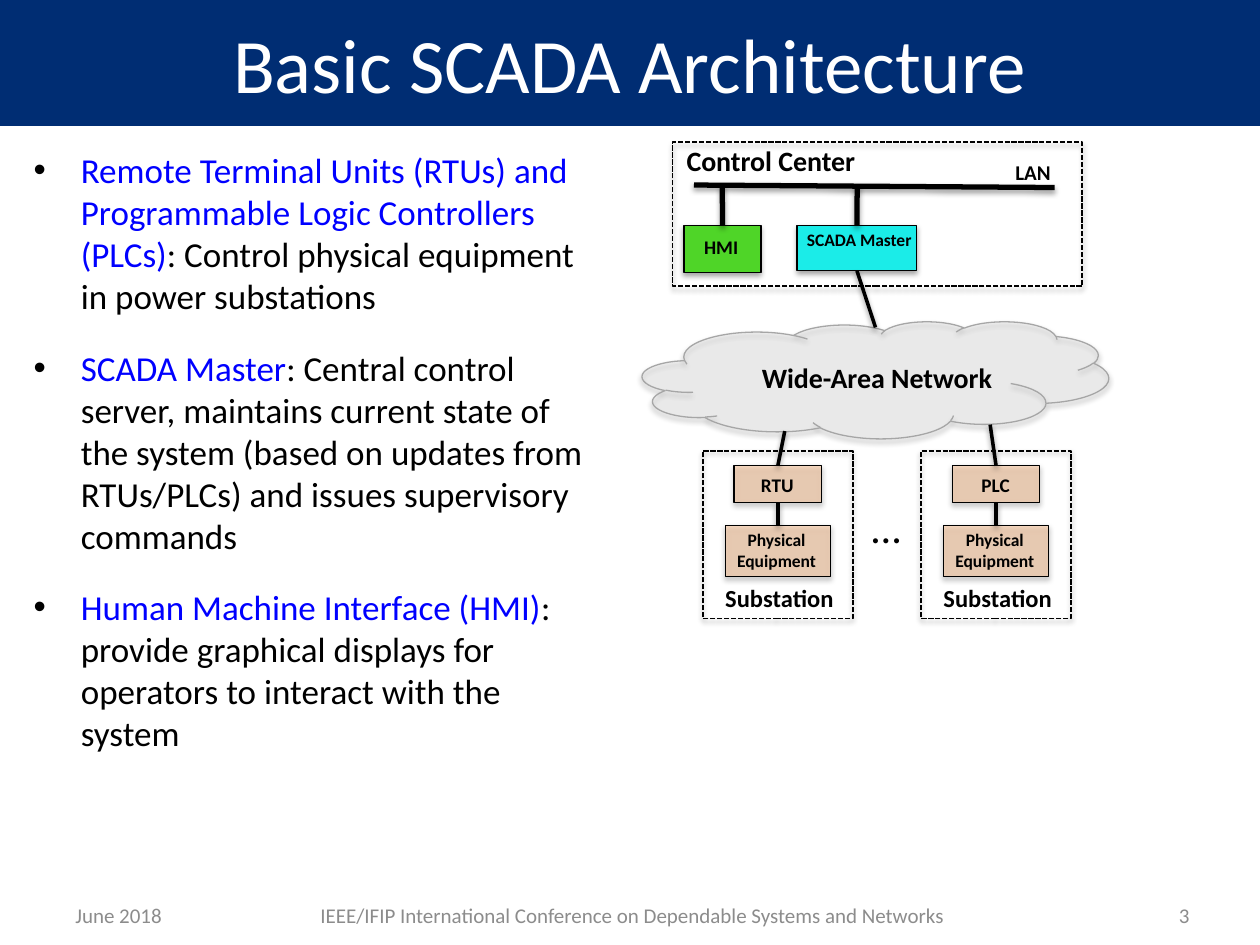
import pptx
import pptx.util
import pptx.dml.color
import pptx.enum.dml
import pptx.enum.shapes
import pptx.enum.text
import pptx.oxml.ns
from lxml import etree

Cm = pptx.util.Cm
Pt = pptx.util.Pt
qn = pptx.oxml.ns.qn
SHAPE = pptx.enum.shapes.MSO_SHAPE
ALIGN = pptx.enum.text.PP_ALIGN
ANCHOR = pptx.enum.text.MSO_ANCHOR

BULLETS = [
    ("Remote Terminal Units (RTUs) and Programmable Logic Controllers (PLCs)",
     ": Control physical equipment in power substations"),
    ("SCADA Master",
     ": Central control server, maintains current state of the system "
     "(based on updates from RTUs/PLCs) and issues supervisory commands"),
    ("Human Machine Interface (HMI)",
     ": provide graphical displays for operators to interact with the system"),
]


def color(hex_string):
    return pptx.dml.color.RGBColor.from_string(hex_string)


def add_run(p, text, size, hex_string="000000", bold=False):
    r = p.add_run()
    r.text = text
    r.font.name = "Calibri"
    r.font.size = Pt(size)
    r.font.bold = bold
    r.font.color.rgb = color(hex_string)


def add_shadow(sp, opacity, distance):
    effects = etree.SubElement(sp._element.spPr, qn("a:effectLst"))
    shadow = etree.SubElement(
        effects, qn("a:outerShdw"), blurRad=str(Pt(3.1)), dist=str(Pt(distance)),
        dir="5400000", rotWithShape="0")
    clr = etree.SubElement(shadow, qn("a:srgbClr"), val="000000")
    etree.SubElement(clr, qn("a:alpha"), val=str(opacity * 1000))


def add_block(s, kind, x, y, w, h, fill=None, opacity=100, line="000000", width=0.75):
    sp = s.shapes.add_shape(kind, Cm(x), Cm(y), Cm(w), Cm(h))
    if fill:
        sp.fill.solid()
        sp.fill.fore_color.rgb = color(fill)
        if opacity < 100:
            clr = sp._element.spPr.find(qn("a:solidFill"))[0]
            etree.SubElement(clr, qn("a:alpha"), val=str(opacity * 1000))
    else:
        sp.fill.background()
    sp.line.color.rgb = color(line)
    sp.line.width = Pt(width)
    add_shadow(sp, 35, 1.8)
    return sp


def add_frame(s, x, y, w, h):
    sp = add_block(s, SHAPE.RECTANGLE, x, y, w, h, width=1)
    sp.line.dash_style = pptx.enum.dml.MSO_LINE.SQUARE_DOT


def add_line(s, x1, y1, x2, y2, width=2, begin=None, end=None):
    line = s.shapes.add_connector(
        pptx.enum.shapes.MSO_CONNECTOR.STRAIGHT, Cm(x1), Cm(y1), Cm(x2), Cm(y2))
    if begin:
        line.begin_connect(*begin)
    if end:
        line.end_connect(*end)
    line.line.color.rgb = color("000000")
    line.line.width = Pt(width)
    add_shadow(line, 38, 1.6)


def add_label(s, x, y, w, h, text, size, align=ALIGN.CENTER, hex_string="000000",
              bold=True, anchor=ANCHOR.TOP, wrap=True):
    tf = s.shapes.add_textbox(Cm(x), Cm(y), Cm(w), Cm(h)).text_frame
    tf.word_wrap = wrap
    tf.vertical_anchor = anchor
    for i, part in enumerate(text.split("\n")):
        p = tf.add_paragraph() if i else tf.paragraphs[0]
        p.alignment = align
        add_run(p, part, size, hex_string, bold)


def add_title(s, x, y, w, h):
    sp = s.shapes.add_shape(SHAPE.RECTANGLE, Cm(x), Cm(y), Cm(w), Cm(h))
    sp.shadow.inherit = False
    sp.fill.solid()
    sp.fill.fore_color.rgb = color("002D73")
    sp.line.fill.background()
    tf = sp.text_frame
    tf.vertical_anchor = ANCHOR.MIDDLE
    p = tf.paragraphs[0]
    p.alignment = ALIGN.CENTER
    add_run(p, "Basic SCADA Architecture", 44, "FFFFFF")


def add_body(s, x, y, w, h):
    tf = s.shapes.add_textbox(Cm(x), Cm(y), Cm(w), Cm(h)).text_frame
    tf.word_wrap = True
    for i, (term, meaning) in enumerate(BULLETS):
        p = tf.add_paragraph() if i else tf.paragraphs[0]
        pPr = p._p.get_or_add_pPr()
        pPr.set("marL", str(Cm(0.95)))
        pPr.set("indent", str(Cm(-0.95)))
        clr = etree.SubElement(pPr, qn("a:buClr"))
        etree.SubElement(clr, qn("a:srgbClr"), val="000000")
        etree.SubElement(pPr, qn("a:buFont"), typeface="Arial")
        etree.SubElement(pPr, qn("a:buChar"), char="•")
        if i:
            p.space_before = Pt(16.8)
        add_run(p, term, 20, "0000FF")
        add_run(p, meaning, 20)


def add_footer(s, x, y, w, h):
    side = 3
    parts = [
        (0, side, "June 2018", ALIGN.LEFT),
        (side, w - 2 * side,
         "IEEE/IFIP International Conference on Dependable Systems and Networks",
         ALIGN.CENTER),
        (w - side, side, "3", ALIGN.RIGHT),
    ]
    for dx, width, text, align in parts:
        add_label(s, x + dx, y, width, h, text, 12, align, "8C8C8C", False, ANCHOR.MIDDLE)


def add_network(s, x, y, w, h):
    add_block(s, SHAPE.CLOUD, x, y, w, h, "D9D9D9", 20, "A6A6A6")
    add_label(s, x + 1.91, y + 0.66, 5.64, 0.94, "Wide-Area Network", 16)


def add_control_center(s, x, y, w, h, uplink):
    hmi = add_block(s, SHAPE.RECTANGLE, x + 0.23, y + 1.68, 1.55, 0.94, "4FD528")
    master = add_block(s, SHAPE.RECTANGLE, x + 2.51, y + 1.68, 2.41, 0.91, "1BECE8")
    bus = y + 0.86
    add_line(s, x + 0.43, bus, x + 7.7, bus + 0.05, 3)
    for dx, node in ((1, hmi), (3.72, master)):
        add_line(s, x + dx, bus, x + dx, y + 1.68, 3, end=(node, 0))
    add_label(s, x + 2.39, y + 1.63, 2.74, 0.69, "SCADA Master", 10)
    add_label(s, x + 0.36, y + 1.75, 1.24, 0.74, "HMI", 11)
    add_label(s, x + 0.03, y - 0.1, 6.35, 0.94, "Control Center", 16, ALIGN.LEFT)
    add_frame(s, x, y, w, h)
    add_line(s, *uplink, x + 3.72, y + 2.59, end=(master, 2))
    add_label(s, x + 6.53, y + 0.23, 1.47, 0.76, "LAN", 12)


def add_substation(s, x, y, w, h, name, uplink):
    mid = x + w / 2
    add_label(s, x + 0.2, y + 2.54, 3.05, 0.86, "Substation", 14, ALIGN.LEFT)
    add_frame(s, x, y, w, h)
    unit = add_block(s, SHAPE.RECTANGLE, mid - 0.88, y + 0.3, 1.76, 0.74, "FAC090", 50)
    add_label(s, mid - 0.95, y + 0.33, 1.88, 0.74, name, 11)
    gear = add_block(s, SHAPE.RECTANGLE, mid - 1.06, y + 1.5, 2.12, 1.04, "FAC090", 50)
    add_label(s, mid - 1.13, y + 1.45, 2.21, 1.12, "Physical\nEquipment", 10)
    add_line(s, mid, y + 1.5, mid, y + 1.04, begin=(gear, 0), end=(unit, 2))
    add_line(s, mid, y + 0.3, *uplink, begin=(unit, 0))


def main():
    prs = pptx.Presentation()
    prs.slide_width = Cm(25.4)
    prs.slide_height = Cm(19.05)
    s = prs.slides.add_slide(prs.slide_layouts[6])
    add_title(s, 0, -0.03, 25.4, 2.57)
    add_footer(s, 1.27, 17.93, 22.96, 1.02)
    add_network(s, 12.95, 6.48, 9.4, 2.36)
    stations = [("RTU", (15.82, 8.69)), ("PLC", (19.96, 8.56))]
    for i, (name, uplink) in enumerate(stations):
        add_substation(s, 14.17 + 4.4 * i, 9.09, 3.02, 3.38, name, uplink)
    add_control_center(s, 13.56, 2.87, 8.26, 2.9, (17.65, 6.6))
    add_label(s, 17.32, 9.98, 1.09, 1.27, "…", 24, ALIGN.LEFT, bold=False, wrap=False)
    add_body(s, 0.43, 2.87, 11.99, 12.88)
    prs.save("out.pptx")


if __name__ == "__main__":
    main()
